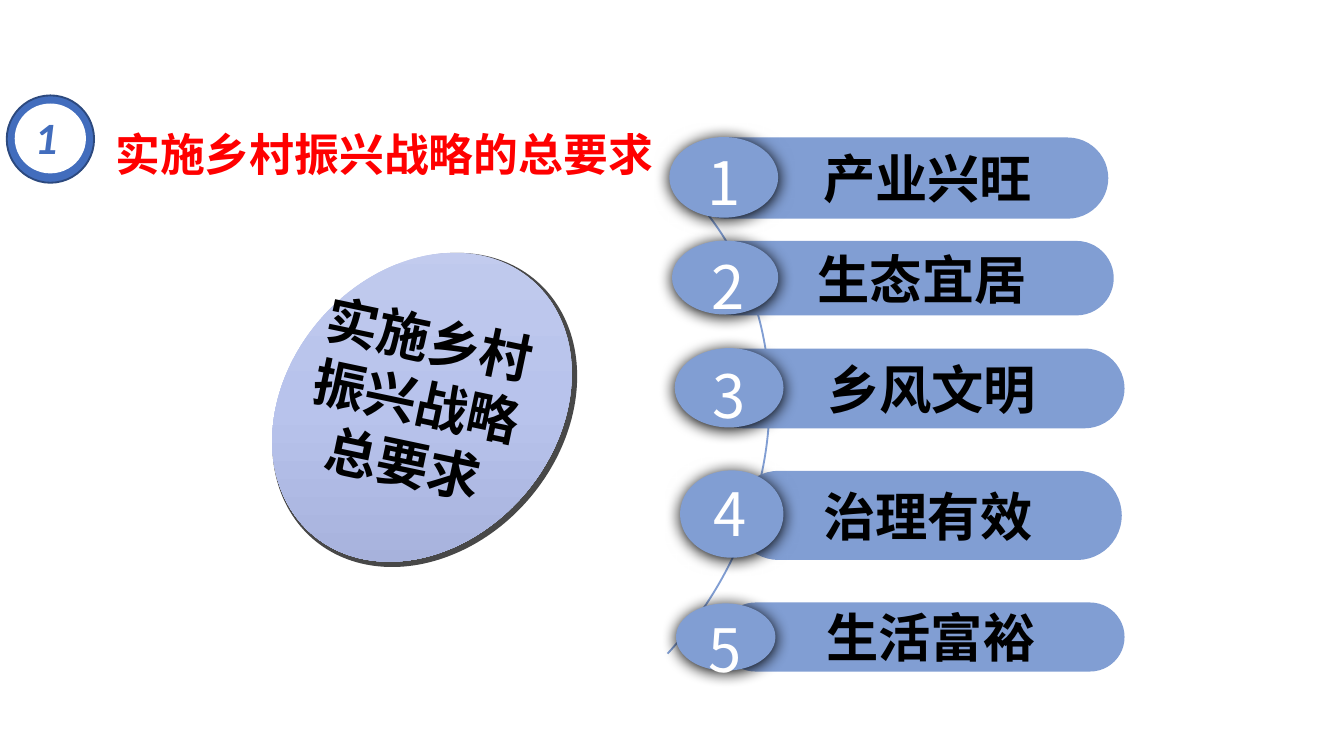
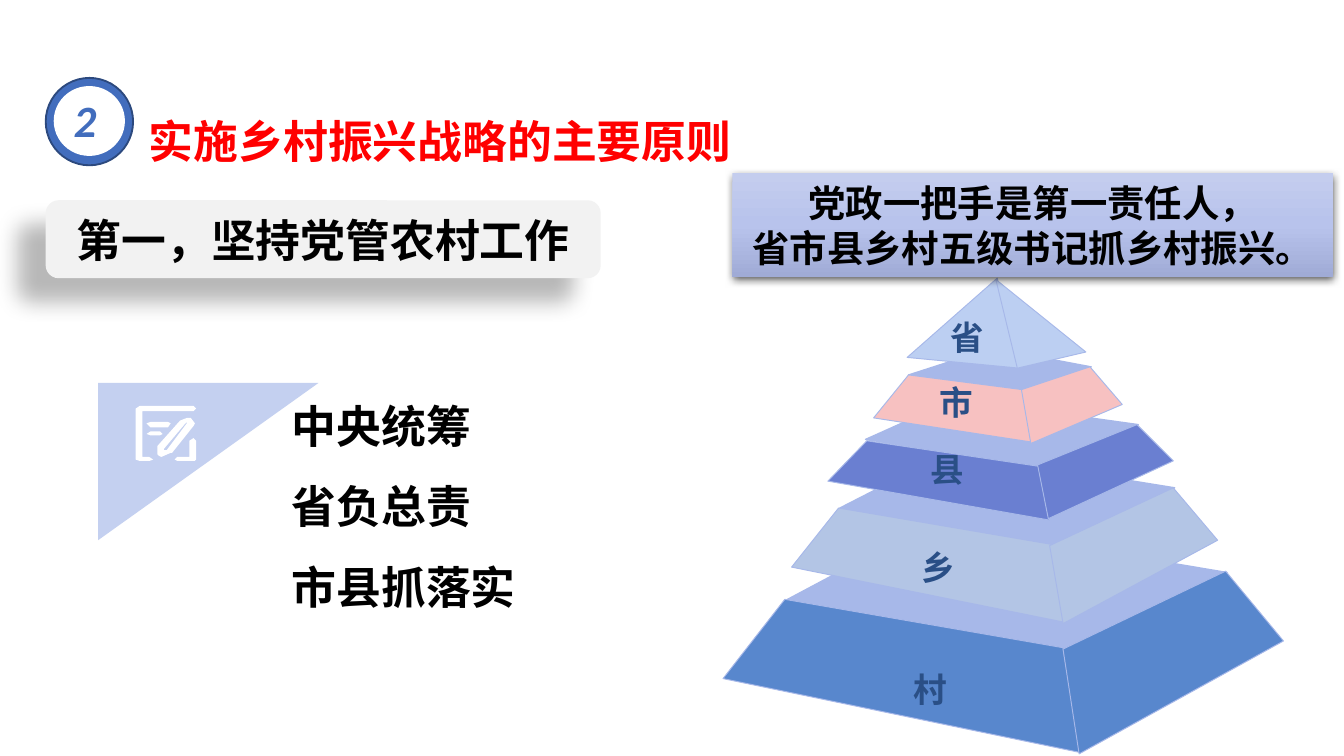
from lxml.etree import SubElement
from pptx import Presentation
from pptx.dml.color import RGBColor
from pptx.enum.shapes import MSO_SHAPE
from pptx.enum.text import MSO_ANCHOR, PP_ALIGN
from pptx.oxml import parse_xml
from pptx.oxml.ns import nsdecls, qn
from pptx.util import Pt

PX = 9144  # 100 px to the inch
SLIDE_SIZE = (1000, 562.5)  # 16:9
CJK = "Noto Sans CJK SC"
LATIN = "Calibri"

BLACK = RGBColor(0x00, 0x00, 0x00)
WHITE = RGBColor(0xFF, 0xFF, 0xFF)
RED = RGBColor(0xFF, 0x00, 0x00)
BADGE_BLUE = RGBColor(0x42, 0x6D, 0xBD)
BADGE_EDGE = RGBColor(0x2C, 0x49, 0x7E)
BAR_BLUE = RGBColor(0x81, 0x9E, 0xD3)
RIM_GREY = RGBColor(0x48, 0x48, 0x48)
PANEL_GREY = RGBColor(0xF2, 0xF2, 0xF2)
CORNER_BLUE = RGBColor(0xC4, 0xD0, 0xF0)
LID_BLUE = RGBColor(0xA7, 0xB8, 0xE9)
TIER_TEXT = RGBColor(0x2A, 0x4F, 0x86)
LAVENDER = ((0, "C4CDEE"), (50, "B8C3EC"), (100, "A0ABD6"))

# Shadows: opacity %, blur pt, distance pt, direction in degrees
OVAL_SHADOW = (100, 8.5, 1, 90)
PANEL_SHADOW = (28, 11.8, 19.7, 141)
CALLOUT_SHADOW = (63, 4.5, 1.5, 90)

HEADINGS = [  # number, text, badge corner, text corner and size
    ("1", "实施乡村振兴战略的总要求", (5, 71), (76, 70, 424, 64)),
    ("2", "实施乡村振兴战略的主要原则", (34, 58), (101, 60, 458, 64)),
]

DISC_LINES = ["实施乡村", "振兴战略", "总要求"]
REQUIREMENTS = [  # text, bar, text indent, oval, number box
    ("产业兴旺", (511, 103, 313, 59), 45, (498, 102, 81, 60), (494, 103, 89, 28)),
    ("生态宜居", (520, 180, 308, 54), 24, (500, 179, 79, 55), (498, 180, 87, 29)),
    ("乡风文明", (524, 260, 312, 58), 26, (502, 259, 81, 59), (498, 261, 89, 33)),
    ("治理有效", (547, 351, 287, 65), 0, (506, 350, 77, 65), (501, 349, 85, 35)),
    ("生活富裕", (537, 449, 299, 50), 12, (503, 449, 74, 50), (499, 450, 81, 27)),
]

PRINCIPLE = "第一，坚持党管农村工作"
CALLOUT_LINES = ["党政一把手是第一责任人，", "省市县乡村五级书记抓乡村振兴。"]
DUTIES = ["中央统筹", "省负总责", "市县抓落实"]

# Tiers from the base up: label, label centre, colour, lid, left face, right face
TIERS = [
    ("村", (692, 513), RGBColor(0x58, 0x87, 0xCD),
     [(584, 447), (693, 389), (913, 426), (792, 484)],
     [(584, 446), (791, 482), (804, 560), (538, 505)],
     [(791, 483), (912, 425), (955, 477), (803, 561)]),
    ("乡", (698, 422), RGBColor(0xB3, 0xC5, 0xE5),
     [(625, 378), (707, 336), (874, 363), (782, 407)],
     [(624, 378), (782, 405), (792, 463), (589, 422)],
     [(781, 406), (873, 363), (906, 402), (791, 464)]),
    ("县", (704, 349), RGBColor(0x6A, 0x7F, 0xD1),
     [(644, 327), (711, 297), (847, 316), (772, 347)],
     [(645, 328), (773, 347), (781, 387), (616, 358)],
     [(772, 346), (846, 316), (873, 343), (780, 386)]),
    ("市", (711, 299), RGBColor(0xF7, 0xC1, 0xC1),
     [(676, 279), (738, 259), (812, 273), (761, 291)],
     [(676, 279), (761, 290), (768, 329), (650, 311)],
     [(760, 290), (811, 273), (835, 301), (767, 330)]),
    ("省", (719, 251), RGBColor(0xBC, 0xCF, 0xF2),
     None,
     [(742, 207), (675, 266), (759, 274)],
     [(741, 208), (808, 262), (757, 274)]),
]

CORNER = [(73, 402), (73, 285), (237, 285)]
EDIT_ICON = [  # each part is a list of contours
    [[(111, 340), (106, 340), (106, 306), (144, 306), (146, 304), (144, 302),
      (104, 302), (101, 304), (101, 342), (104, 343), (111, 343), (114, 342)]],
    [[(144, 326), (141, 328), (141, 340), (132, 340), (130, 342), (132, 343),
      (145, 343), (146, 342), (146, 328)]],
    [[(142, 311), (139, 311), (134, 313), (117, 332), (117, 338), (118, 339),
      (120, 340), (127, 337), (128, 337), (144, 317), (145, 315)],
     [(139, 315), (124, 335), (122, 335), (122, 334), (138, 315), (139, 314)]],
    [[(127, 315), (125, 314), (112, 314), (109, 315), (112, 318), (125, 318)]],
    [[(112, 321), (109, 323), (112, 324), (119, 324), (121, 323), (119, 321)]],
]


def emu(box):
    return [round(value * PX) for value in box]


def paint(shape, fill=None, line=None, width=1, shadow=None):
    """Set fill, outline and shadow; None means none of it."""
    if fill is None:
        shape.fill.background()
    else:
        shape.fill.solid()
        shape.fill.fore_color.rgb = fill
    if line is None:
        shape.line.fill.background()
    else:
        shape.line.color.rgb = line
        shape.line.width = Pt(width)
    shape.shadow.inherit = False
    if shadow:
        opacity, blur, distance, angle = shadow
        effects = shape._element.spPr.find(qn("a:effectLst"))
        effects.append(parse_xml(
            f'<a:outerShdw {nsdecls("a")} blurRad="{Pt(blur)}" dist="{Pt(distance)}" '
            f'dir="{angle * 60000}" algn="ctr" rotWithShape="0"><a:srgbClr val="000000">'
            f'<a:alpha val="{opacity * 1000}"/></a:srgbClr></a:outerShdw>'))
    return shape


def add_preset(slide, preset, box, **look):
    return paint(slide.shapes.add_shape(preset, *emu(box)), **look)


def add_outline(slide, contours, **look):
    builder = slide.shapes.build_freeform(*contours[0][0], scale=PX)
    for index, (start, *rest) in enumerate(contours):
        if index:
            builder.move_to(*start)
        builder.add_line_segments(rest, close=True)
    return paint(builder.convert_to_shape(), **look)


def apply_gradient(shape, angle):
    properties = shape._element.spPr
    stops = "".join(f'<a:gs pos="{place * 1000}"><a:srgbClr val="{colour}"/></a:gs>'
                    for place, colour in LAVENDER)
    properties.replace(properties.find(qn("a:solidFill")), parse_xml(
        f'<a:gradFill {nsdecls("a")} rotWithShape="1"><a:gsLst>{stops}</a:gsLst>'
        f'<a:lin ang="{angle * 60000}" scaled="0"/></a:gradFill>'))


def write(shape, lines, size, colour, align=PP_ALIGN.CENTER, anchor=MSO_ANCHOR.MIDDLE,
          font=CJK, bold=True, italic=False, pitch=None, insets=(10, 5, 10, 5), wrap=True):
    """Fill a shape with one paragraph per line; pitch is the line height in points."""
    frame = shape.text_frame
    frame.word_wrap = wrap
    frame.vertical_anchor = anchor
    (frame.margin_left, frame.margin_top,
     frame.margin_right, frame.margin_bottom) = emu(insets)
    frame.text = "\n".join(lines)
    for paragraph in frame.paragraphs:
        paragraph.alignment = align
        if pitch:
            paragraph.line_spacing = Pt(pitch)
        for run in paragraph.runs:
            run.font.size = Pt(size)
            run.font.bold = bold
            run.font.italic = italic
            run.font.name = font
            run.font.color.rgb = colour
            SubElement(run.font._element, qn("a:ea")).set("typeface", font)


def add_text(slide, box, lines, size, colour, **style):
    textbox = slide.shapes.add_textbox(*emu(box))
    write(textbox, lines, size, colour, **style)
    return textbox


def add_heading(slide, number, title, corner, title_box):
    left, top = corner
    add_preset(slide, MSO_SHAPE.OVAL, (left, top, 65, 65), fill=BADGE_BLUE, line=BADGE_EDGE)
    add_preset(slide, MSO_SHAPE.OVAL, (left + 6, top + 6, 53, 52), fill=WHITE)
    add_text(slide, (left + 11, top + 6, 43, 51), [number], 24, BADGE_BLUE, font=LATIN,
             italic=True, align=PP_ALIGN.LEFT, anchor=MSO_ANCHOR.TOP)
    add_text(slide, title_box, [title], 24, RED, align=PP_ALIGN.LEFT,
             anchor=MSO_ANCHOR.TOP, pitch=43, wrap=False)


def add_disc(slide):
    tilt = 49
    for size, colour in (((254, 204), RIM_GREY), ((250, 200), CORNER_BLUE)):
        disc = add_preset(slide, MSO_SHAPE.OVAL, (189, 203, *size), fill=colour)
        disc.rotation = -tilt
    apply_gradient(disc, 90 + tilt)
    caption = add_text(slide, (210, 223, 200, 150), DISC_LINES, 28, BLACK, pitch=34)
    caption.rotation = 12


def build_requirements(slide):
    arc = add_preset(slide, MSO_SHAPE.ARC, (92, 65, 466, 528), line=BAR_BLUE)
    arc.rotation = 42.5
    for number, (name, bar_box, indent, oval_box, number_box) in enumerate(REQUIREMENTS, 1):
        bar = add_preset(slide, MSO_SHAPE.ROUNDED_RECTANGLE, bar_box,
                         fill=BAR_BLUE, line=BAR_BLUE)
        bar.adjustments[0] = 0.5
        write(bar, [name], 28, BLACK, insets=(10 + indent, 5, 10, 5))
        add_preset(slide, MSO_SHAPE.OVAL, oval_box, fill=BAR_BLUE, shadow=OVAL_SHADOW)
        add_text(slide, number_box, [str(number)], 32, WHITE, bold=False,
                 anchor=MSO_ANCHOR.TOP, pitch=39)
    add_disc(slide)
    add_heading(slide, *HEADINGS[0])


def add_pyramid(slide):
    for label, (x, y), colour, lid, left_face, right_face in TIERS:
        if lid:
            add_outline(slide, [lid], fill=LID_BLUE, line=LID_BLUE, width=0.75)
        front, _ = [add_outline(slide, [face], fill=colour, line=LID_BLUE, width=0.5)
                    for face in (left_face, right_face)]
        left = min(point[0] for point in left_face)
        top = min(point[1] for point in left_face)
        write(front, [label], 18, TIER_TEXT, align=PP_ALIGN.LEFT, anchor=MSO_ANCHOR.TOP,
              insets=(x - 12 - left, y - 15 - top, 0, 0))


def build_principles(slide):
    panel = add_preset(slide, MSO_SHAPE.ROUNDED_RECTANGLE, (34, 149, 413, 58),
                       fill=PANEL_GREY, shadow=PANEL_SHADOW)
    write(panel, [PRINCIPLE], 24, BLACK)
    add_pyramid(slide)
    add_heading(slide, *HEADINGS[1])
    callout = add_preset(slide, MSO_SHAPE.RECTANGLE, (545, 129, 447, 77),
                         fill=CORNER_BLUE, shadow=CALLOUT_SHADOW)
    apply_gradient(callout, 90)
    write(callout, CALLOUT_LINES, 20, BLACK, anchor=MSO_ANCHOR.TOP, pitch=24)
    add_outline(slide, [CORNER], fill=CORNER_BLUE)
    for contours in EDIT_ICON:
        add_outline(slide, contours, fill=WHITE)
    add_text(slide, (217, 277, 206, 116), DUTIES, 24, BLACK, align=PP_ALIGN.LEFT,
             anchor=MSO_ANCHOR.TOP, pitch=43, insets=(0, 0, 0, 0))


def main():
    deck = Presentation()
    deck.slide_width, deck.slide_height = emu(SLIDE_SIZE)
    for build in (build_requirements, build_principles):
        build(deck.slides.add_slide(deck.slide_layouts[6]))
    deck.save("out.pptx")


if __name__ == "__main__":
    main()
